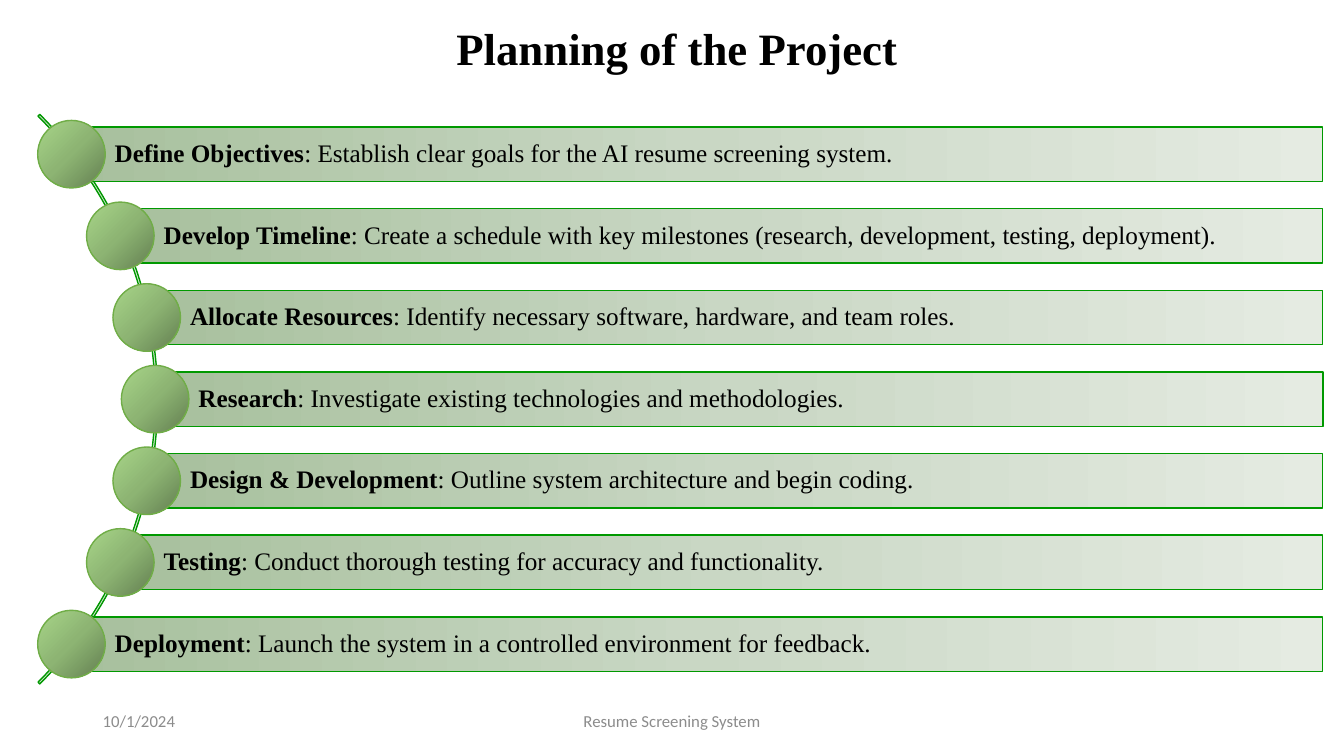
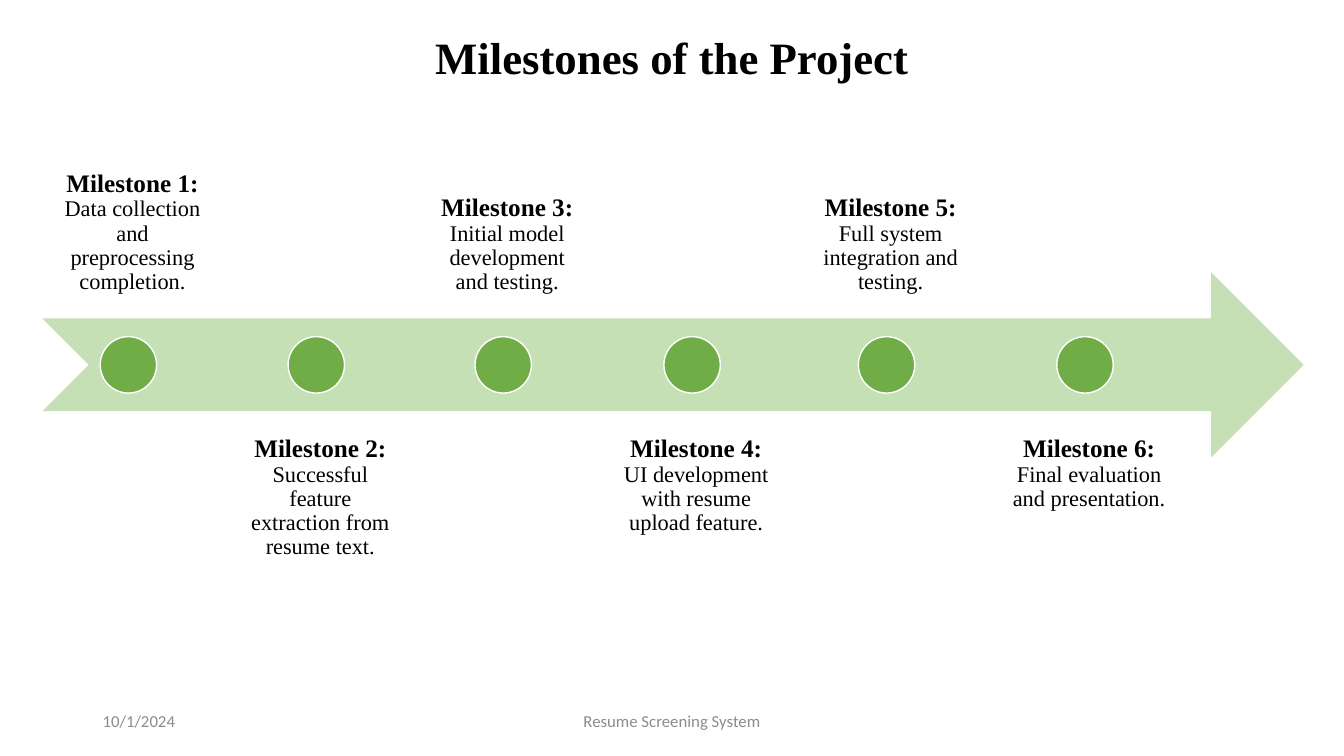
import math

import pptx
import pptx.dml.color
import pptx.enum.shapes
import pptx.enum.text
import pptx.oxml
import pptx.oxml.ns
import pptx.util

Inches = pptx.util.Inches
Pt = pptx.util.Pt
SHAPE = pptx.enum.shapes.MSO_SHAPE
ALIGN = pptx.enum.text.PP_ALIGN
ANCHOR = pptx.enum.text.MSO_ANCHOR

COLORS = {
    "text": "000000",
    "footer": "8C8C8C",
    "bar_line": "009900",
    "green": "70AD47",
    "arrow": "C5E0B4",
    "white": "FFFFFF",
}
BAR_GRADIENT = ["A7C09D", "C9D7C4", "E5EBE2"]
BALL_GRADIENT = ["637F51", "8DB473", "A8D689"]
LINEAR = '<a:lin ang="0" scaled="0"/>'
FROM_CORNER = '<a:path path="circle"><a:fillToRect l="100000" t="100000"/></a:path>'
SERIF = "Times New Roman"

STEPS = [
    ("Define Objectives", ": Establish clear goals for the AI resume screening system."),
    ("Develop Timeline", ": Create a schedule with key milestones (research, development, testing, deployment)."),
    ("Allocate Resources", ": Identify necessary software, hardware, and team roles."),
    ("Research", ": Investigate existing technologies and methodologies."),
    ("Design & Development", ": Outline system architecture and begin coding."),
    ("Testing", ": Conduct thorough testing for accuracy and functionality."),
    ("Deployment", ": Launch the system in a controlled environment for feedback."),
]
MILESTONES = [
    (1.79, "Data collection and preprocessing completion."),
    (1.80, "Successful feature extraction from resume text."),
    (1.77, "Initial model development and testing."),
    (1.84, "UI development with resume upload feature."),
    (1.88, "Full system integration and testing."),
    (1.92, "Final evaluation and presentation."),
]


def rgb(name):
    return pptx.dml.color.RGBColor.from_string(COLORS[name])


def write(sp, runs, align, anchor, insets=(0.1, 0.05, 0.1, 0.05), color="text", spacing=0.9):
    tf = sp.text_frame
    tf.word_wrap = True
    tf.vertical_anchor = anchor
    tf.margin_left, tf.margin_top, tf.margin_right, tf.margin_bottom = map(Inches, insets)
    p = tf.paragraphs[0]
    p.alignment = align
    p.line_spacing = spacing
    for text, font, size, bold in runs:
        r = p.add_run()
        r.text = text
        r.font.name = font
        r.font.size = Pt(size)
        r.font.bold = bold
        r.font.color.rgb = rgb(color)


def add_text(s, box, *args, **kwargs):
    write(s.shapes.add_textbox(*map(Inches, box)), *args, **kwargs)


def add_shape(s, kind, box, fill=None, line=None):
    sp = s.shapes.add_shape(kind, *map(Inches, box))
    sp.shadow.inherit = False
    if fill:
        sp.fill.solid()
        sp.fill.fore_color.rgb = rgb(fill)
    if line:
        sp.line.color.rgb = rgb(line)
        sp.line.width = Pt(1)
    else:
        sp.line.fill.background()
    return sp


def fill_gradient(sp, colors, direction):
    stops = "".join(
        f'<a:gs pos="{i * 50000}"><a:srgbClr val="{c}"/></a:gs>' for i, c in enumerate(colors)
    )
    grad = pptx.oxml.parse_xml(
        f'<a:gradFill {pptx.oxml.ns.nsdecls("a")} rotWithShape="1">'
        f"<a:gsLst>{stops}</a:gsLst>{direction}</a:gradFill>"
    )
    sp.element.spPr.find(pptx.oxml.ns.qn("a:prstGeom")).addnext(grad)


def add_slide(prs, title, left, top):
    s = prs.slides.add_slide(prs.slide_layouts[6])
    add_text(s, (left, top, 10, 0.52), [(title, SERIF, 32, True)], ALIGN.CENTER, ANCHOR.BOTTOM)
    for text, x, width, align in (
        ("10/1/2024", 0.92, 3, ALIGN.LEFT),
        ("Resume Screening System", 4.42, 4.5, ALIGN.CENTER),
    ):
        add_text(s, (x, 6.95, width, 0.4), [(text, "Calibri", 12, False)],
                 align, ANCHOR.MIDDLE, color="footer", spacing=1.0)
    return s


def add_steps(s):
    center_x, center_y, radius = -2.43, 3.96, 3.97
    pitch, bar_height, ball, right = 0.81, 0.54, 0.67, 13.13
    size = 7.99
    arc = add_shape(s, SHAPE.BLOCK_ARC,
                    (center_x - size / 2, center_y - size / 2, size, size), line="bar_line")
    for i, value in enumerate((189, 27, 0.003)):
        arc.adjustments[i] = value
    fill_gradient(arc, BAR_GRADIENT, LINEAR)
    for i, (head, detail) in enumerate(STEPS):
        dy = (i - (len(STEPS) - 1) / 2) * pitch
        x = center_x + math.sqrt(radius ** 2 - dy ** 2)
        y = center_y + dy
        bar = add_shape(s, SHAPE.RECTANGLE,
                        (x, y - bar_height / 2, right - x, bar_height), line="bar_line")
        fill_gradient(bar, BAR_GRADIENT, LINEAR)
        write(bar, [(head, SERIF, 18, True), (detail, SERIF, 18, False)],
              ALIGN.JUSTIFY, ANCHOR.MIDDLE, insets=(0.43, 0.05, 0.05, 0.05))
        dot = add_shape(s, SHAPE.OVAL, (x - ball / 2, y - ball / 2, ball, ball), line="green")
        fill_gradient(dot, BALL_GRADIENT, FROM_CORNER)


def add_milestones(s):
    add_shape(s, SHAPE.NOTCHED_RIGHT_ARROW, (0.42, 2.7, 12.52, 1.84), fill="arrow")
    x, gap, dot, shift = 0.42, 0.07, 0.56, 0.04
    for i, (width, detail) in enumerate(MILESTONES):
        top, anchor = ((0.81, ANCHOR.BOTTOM), (4.18, ANCHOR.TOP))[i % 2]
        add_text(s, (x, top, width, 2.25),
                 [(f"Milestone {i + 1}: ", SERIF, 18, True), (detail, SERIF, 16, False)],
                 ALIGN.CENTER, anchor, insets=(0.14,) * 4)
        add_shape(s, SHAPE.OVAL, (x + (width - dot) / 2 - shift, 3.34, dot, dot),
                  fill="green", line="white")
        x += width + gap


def main():
    prs = pptx.Presentation()
    prs.slide_width, prs.slide_height = Inches(13.34), Inches(7.5)
    add_steps(add_slide(prs, "Planning of the Project", 1.72, 0.28))
    add_milestones(add_slide(prs, "Milestones of the Project", 1.67, 0.36))
    prs.save("out.pptx")


if __name__ == "__main__":
    main()
